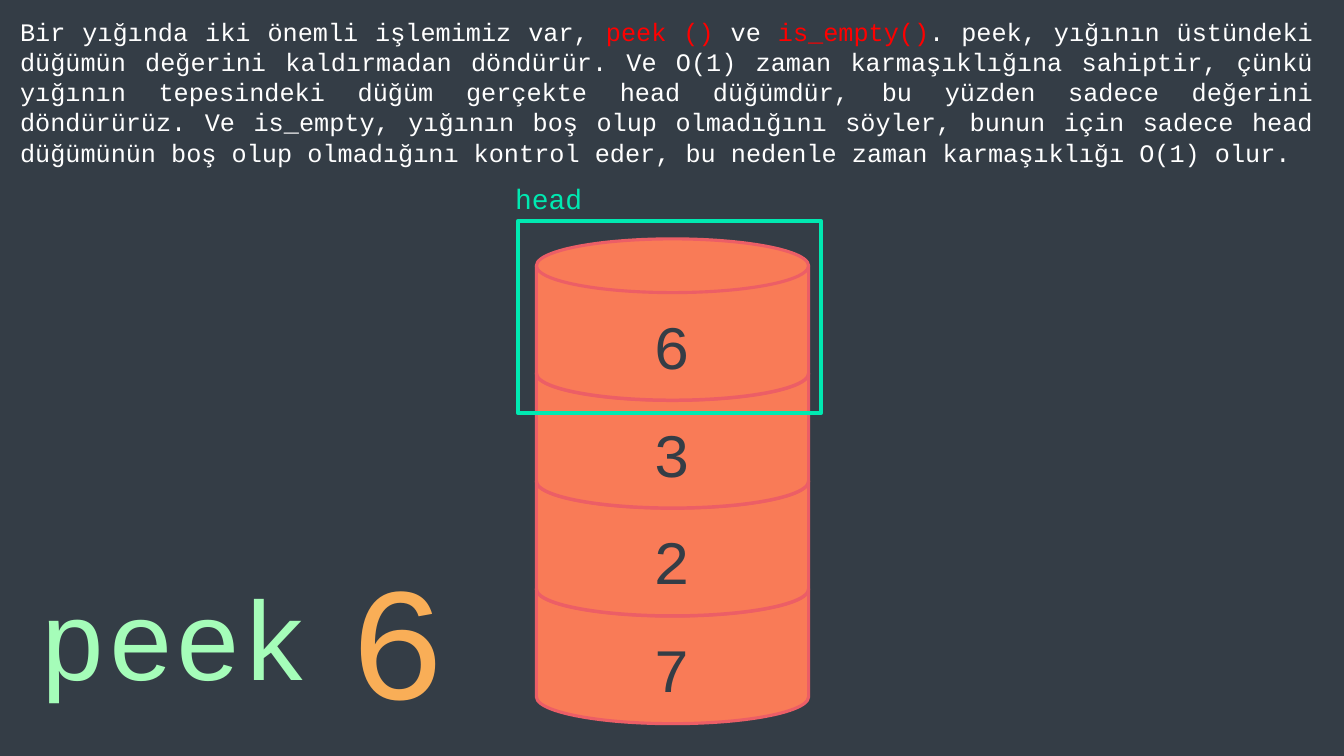
from dataclasses import dataclass

from pptx import Presentation
from pptx.dml.color import RGBColor
from pptx.enum.shapes import MSO_SHAPE as Shape
from pptx.enum.text import MSO_ANCHOR as Anchor
from pptx.enum.text import MSO_AUTO_SIZE as AutoSize
from pptx.enum.text import PP_ALIGN as Align
from pptx.slide import Slide
from pptx.util import Inches, Pt

BACKGROUND = RGBColor(0x34, 0x3D, 0x46)
DISK_FILL = RGBColor(0xF9, 0x7B, 0x57)
DISK_LINE = RGBColor(0xEC, 0x5E, 0x66)
HEAD_COLOR = RGBColor(0x00, 0xE9, 0xB1)
RESULT_COLOR = RGBColor(0xF9, 0xAE, 0x57)
PEEK_COLOR = RGBColor(0xA5, 0xFD, 0xB9)
WHITE = RGBColor(0xFF, 0xFF, 0xFF)
RED = RGBColor(0xFF, 0x00, 0x00)

FONT = "Courier New"
STACK_VALUES = ["6", "3", "2", "7"]
STACK_LEFT, STACK_TOP, DISK_STEP = 5.32, 2.37, 1.07
DISK_WIDTH, DISK_HEIGHT = 2.7, 1.6


@dataclass
class TextRun:
    text: str
    color: RGBColor


@dataclass
class Label:
    left: float
    top: float
    width: float
    height: float
    size: int
    align: Align
    runs: list[TextRun]


LABELS = [
    Label(5.01, 1.75, 0.98, 0.44, 20, Align.LEFT, [TextRun("head", HEAD_COLOR)]),
    Label(3.37, 5.29, 0.94, 2.04, 115, Align.CENTER, [TextRun("6", RESULT_COLOR)]),
    Label(0, 5.59, 3.46, 1.45, 80, Align.CENTER, [TextRun("peek", PEEK_COLOR)]),
    Label(0.1, 0.11, 13.02, 1.61, 18, Align.JUSTIFY, [
        TextRun("Bir yığında iki önemli işlemimiz var, ", WHITE),
        TextRun("peek () ", RED),
        TextRun("ve ", WHITE),
        TextRun("is_empty()", RED),
        TextRun(
            ". peek, yığının üstündeki düğümün değerini kaldırmadan döndürür. "
            "Ve O(1) zaman karmaşıklığına sahiptir, çünkü yığının tepesindeki "
            "düğüm gerçekte head düğümdür, bu yüzden sadece değerini döndürürüz. "
            "Ve is_empty, yığının boş olup olmadığını söyler, bunun için sadece "
            "head düğümünün boş olup olmadığını kontrol eder, bu nedenle zaman "
            "karmaşıklığı O(1) olur.",
            WHITE,
        ),
    ]),
]


def add_disk(slide: Slide, value: str, top: float) -> None:
    disk = slide.shapes.add_shape(
        Shape.FLOWCHART_MAGNETIC_DISK,
        Inches(STACK_LEFT), Inches(top), Inches(DISK_WIDTH), Inches(DISK_HEIGHT),
    )
    disk.shadow.inherit = False
    disk.fill.solid()
    disk.fill.fore_color.rgb = DISK_FILL
    disk.line.color.rgb = DISK_LINE
    disk.line.width = Pt(2.25)
    frame = disk.text_frame
    frame.margin_left = frame.margin_right = Inches(0)
    frame.margin_top = Inches(0.28)
    frame.margin_bottom = Inches(0.05)
    frame.vertical_anchor = Anchor.MIDDLE
    paragraph = frame.paragraphs[0]
    paragraph.text = value
    paragraph.alignment = Align.CENTER
    paragraph.font.name = FONT
    paragraph.font.size = Pt(44)
    paragraph.font.color.rgb = BACKGROUND


def add_head_frame(slide: Slide) -> None:
    head_frame = slide.shapes.add_shape(
        Shape.RECTANGLE, Inches(5.14), Inches(2.19), Inches(3), Inches(1.91)
    )
    head_frame.shadow.inherit = False
    head_frame.fill.background()
    head_frame.line.color.rgb = HEAD_COLOR
    head_frame.line.width = Pt(3)


def add_label(slide: Slide, label: Label) -> None:
    box = slide.shapes.add_textbox(
        Inches(label.left), Inches(label.top), Inches(label.width), Inches(label.height)
    )
    frame = box.text_frame
    frame.word_wrap = True
    frame.auto_size = AutoSize.SHAPE_TO_FIT_TEXT
    paragraph = frame.paragraphs[0]
    paragraph.alignment = label.align
    paragraph.font.name = FONT
    paragraph.font.size = Pt(label.size)
    for text_run in label.runs:
        run = paragraph.add_run()
        run.text = text_run.text
        run.font.color.rgb = text_run.color


def main() -> None:
    presentation = Presentation()
    presentation.slide_width = Inches(13.33)
    presentation.slide_height = Inches(7.5)
    slide = presentation.slides.add_slide(presentation.slide_layouts[6])
    slide.background.fill.solid()
    slide.background.fill.fore_color.rgb = BACKGROUND

    for position, value in reversed(list(enumerate(STACK_VALUES))):
        add_disk(slide, value, STACK_TOP + position * DISK_STEP)
    add_head_frame(slide)
    for label in LABELS:
        add_label(slide, label)

    presentation.save("out.pptx")


if __name__ == "__main__":
    main()
